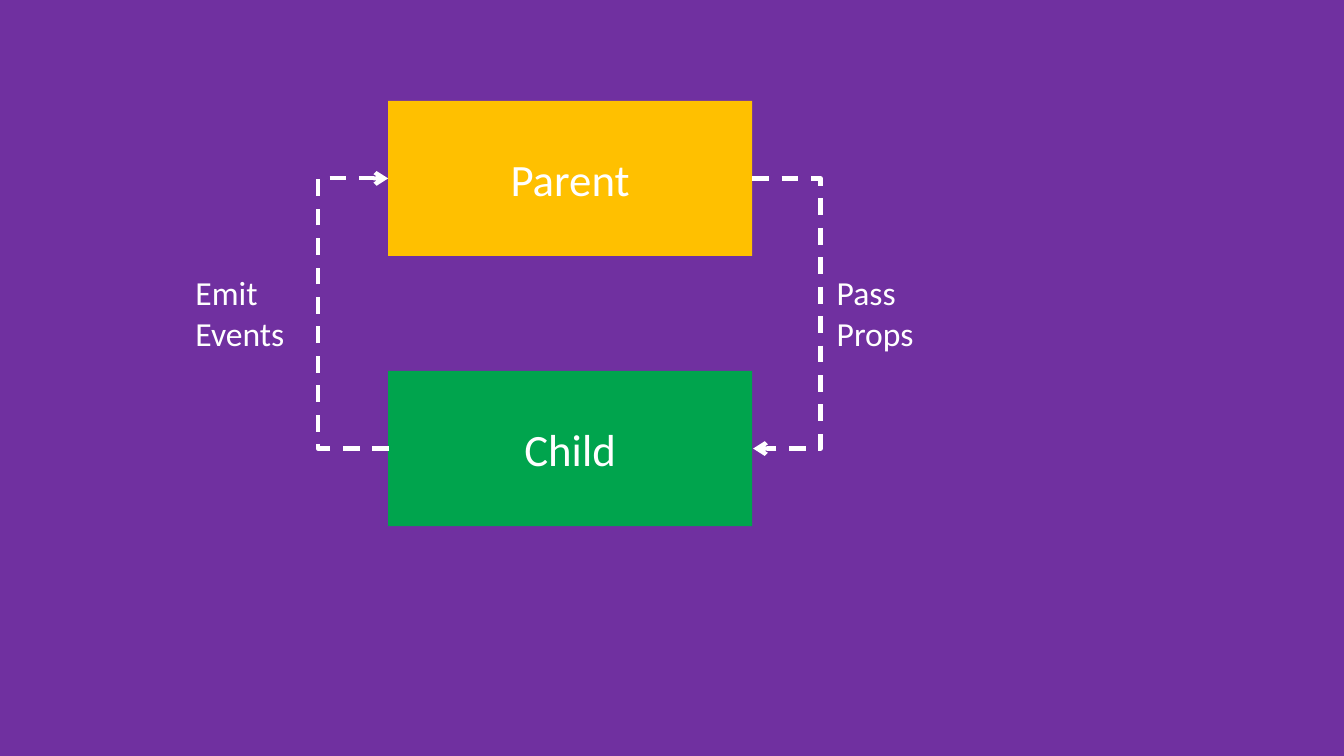
from lxml.etree import SubElement
from pptx import Presentation
from pptx.dml.color import RGBColor
from pptx.enum.dml import MSO_LINE
from pptx.enum.shapes import MSO_CONNECTOR, MSO_SHAPE
from pptx.enum.text import MSO_ANCHOR, MSO_AUTO_SIZE, PP_ALIGN
from pptx.oxml.ns import qn
from pptx.util import Inches, Pt

COLORS = {
    "back": "7030A0",
    "parent": "FFC000",
    "child": "00A44D",
    "white": "FFFFFF",
}


def color(name):
    return RGBColor.from_string(COLORS[name])


def add_run(para, text, size):
    run = para.add_run()
    run.text = text
    run.font.name = "Calibri"
    run.font.size = Pt(size)
    run.font.color.rgb = color("white")


deck = Presentation()
deck.slide_width, deck.slide_height = Inches(13.33), Inches(7.5)
slide = deck.slides.add_slide(deck.slide_layouts[6])
slide.background.fill.solid()
slide.background.fill.fore_color.rgb = color("back")

# Two boxes, one row apart
left, top, wide, high, row = 3.85, 1, 3.61, 1.54, 2.68
for i, word in enumerate(("Parent", "Child")):
    box = slide.shapes.add_shape(
        MSO_SHAPE.RECTANGLE, Inches(left), Inches(top + i * row), Inches(wide), Inches(high)
    )
    box.shadow.inherit = False
    box.fill.solid()
    box.fill.fore_color.rgb = color(word.lower())
    box.line.fill.background()
    frame = box.text_frame
    frame.vertical_anchor = MSO_ANCHOR.MIDDLE
    frame.paragraphs[0].alignment = PP_ALIGN.CENTER
    add_run(frame.paragraphs[0], word, 32)

# Elbow arrows: the bend is a multiple of the small step between the two ends
right, step = left + wide, 0.01
upper = top + high / 2
lower = upper + row
for x1, y1, x2, y2, reach in (
    (right, upper, right + step, lower, 0.69),
    (left + step, lower, left, upper, 0.72),
):
    arrow = slide.shapes.add_connector(
        MSO_CONNECTOR.ELBOW, Inches(x1), Inches(y1), Inches(x2), Inches(y2)
    )
    arrow.line.color.rgb = color("white")
    arrow.line.width = Pt(3)
    arrow.line.dash_style = MSO_LINE.DASH
    props = arrow._element.spPr
    SubElement(props.find(qn("a:ln")), qn("a:tailEnd"), type="arrow")
    SubElement(props, qn("a:effectLst"))
    bend = round(reach / step * 100000)
    guides = props.find(qn("a:prstGeom")).find(qn("a:avLst"))
    SubElement(guides, qn("a:gd"), name="adj1", fmla=f"val {bend}")

# Labels beside the arrows
for x, width, words in ((8.2, 0.97, ("Pass", "Props")), (1.84, 1.09, ("Emit", "Events"))):
    label = slide.shapes.add_textbox(Inches(x), Inches(2.65), Inches(width), Inches(0.91))
    frame = label.text_frame
    frame.word_wrap = False
    frame.auto_size = MSO_AUTO_SIZE.SHAPE_TO_FIT_TEXT
    para = frame.paragraphs[0]
    add_run(para, words[0], 24)
    para.add_line_break()
    add_run(para, words[1], 24)

deck.save("out.pptx")
